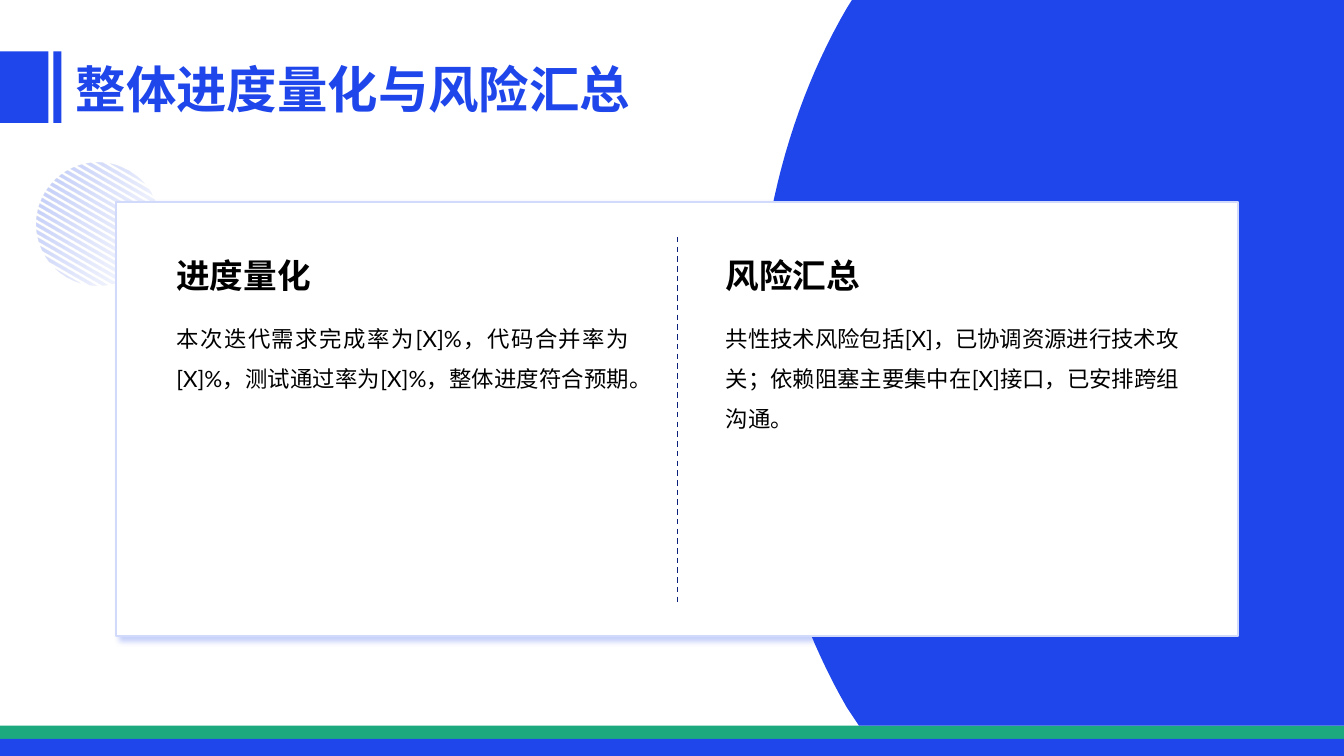
"""Build the progress and risk summary slide."""
from math import sqrt

from lxml.etree import SubElement
from pptx import Presentation
from pptx.dml.color import RGBColor
from pptx.enum.dml import MSO_LINE
from pptx.enum.shapes import MSO_CONNECTOR as Connector, MSO_SHAPE as Shape
from pptx.enum.text import MSO_ANCHOR as Anchor, MSO_AUTO_SIZE as AutoSize, PP_ALIGN as Align
from pptx.oxml.ns import qn
from pptx.util import Inches, Pt

TITLE = "整体进度量化与风险汇总"
SECTIONS = [
    ("进度量化", "本次迭代需求完成率为[X]%，代码合并率为[X]%，测试通过率为[X]%，整体进度符合预期。"),
    ("风险汇总", "共性技术风险包括[X]，已协调资源进行技术攻关；依赖阻塞主要集中在[X]接口，已安排跨组沟通。"),
]
COLORS = {"blue": "1E46EB", "green": "1CA97E", "white": "FFFFFF",
          "border": "D2DAFB", "divider": "0B207A", "black": "000000"}
FONT = "Lato"
WIDTH, HEIGHT = 13.33, 7.5
BARS = [
    (0, 7.2, WIDTH, 0.17, "green"),
    (0, 7.33, WIDTH, 0.17, "blue"),
    (0, 0.51, 0.48, 0.71, "blue"),
    (0.53, 0.51, 0.08, 0.71, "blue"),
]
CARD = (1.15, 2, 11.13, 4.31)
COLUMN_LEFT, COLUMN_STEP, COLUMN_WIDTH = 1.65, 5.45, 4.69
DISC_X, DISC_Y, DISC_RADIUS = 0.97, 2.22, 0.61
STRIPES, STRIPE_STEP, STRIPE_HEIGHT = 21, 0.06, 0.035
FADE = [(0, 34), (76, 3), (100, 3)]
PANEL_CURVES = [
    [(8.4, 7.02), (7.85, 6.07), (7.51, 4.87), (7.51, 3.55)],
    [(7.51, 3.55), (7.51, 2.23), (7.85, 1.02), (8.4, 0.08)],
]
CURVE_STEPS = 24


def rgb(name):
    """Return the named colour."""
    return RGBColor.from_string(COLORS[name])


def inches(*lengths):
    """Convert several lengths."""
    return [Inches(length) for length in lengths]


def add_color(parent, name, alpha):
    """Append a colour with an opacity in percent."""
    color = SubElement(parent, qn("a:srgbClr"), val=COLORS[name])
    SubElement(color, qn("a:alpha"), val=str(alpha * 1000))


def paint(shape, color):
    """Give a shape a plain fill without line or shadow."""
    shape.shadow.inherit = False
    shape.fill.solid()
    shape.fill.fore_color.rgb = rgb(color)
    shape.line.fill.background()


def write(box, text, size, color="black", bold=False, align=Align.JUSTIFY, spacing=1.0):
    """Set the text of a box and its format."""
    frame = box.text_frame
    frame.word_wrap = True
    frame.auto_size = AutoSize.SHAPE_TO_FIT_TEXT
    frame.vertical_anchor = Anchor.TOP
    paragraph = frame.paragraphs[0]
    paragraph.alignment, paragraph.line_spacing = align, spacing
    run = paragraph.add_run()
    run.text = text
    font = run.font
    font.name, font.size, font.bold = FONT, Pt(size), bold
    font.color.rgb = rgb(color)
    properties = run._r.get_or_add_rPr()
    properties.set("lang", "zh-CN")
    SubElement(properties, qn("a:ea"), typeface=FONT)


def draw_outlines(shapes, outlines):
    """Draw closed outlines as one freeform."""
    builder = None
    for outline in outlines:
        points = [inches(*point) for point in outline]
        if builder is None:
            builder = shapes.build_freeform(*points[0], scale=1.0)
        else:
            builder.move_to(*points[0])
        builder.add_line_segments(points[1:], close=True)
    return builder.convert_to_shape()


def stripe_outline(index):
    """Return one horizontal slice of the disc."""
    top = index * STRIPE_STEP - DISC_RADIUS
    bottom = min(top + STRIPE_HEIGHT, DISC_RADIUS)
    levels = [top + (bottom - top) * step / 4 for step in range(5)]
    edge = [(sqrt(max(DISC_RADIUS ** 2 - y ** 2, 0)), y) for y in levels]
    return ([(DISC_X + x, DISC_Y + y) for x, y in edge]
            + [(DISC_X - x, DISC_Y + y) for x, y in reversed(edge)])


def curve_point(curve, t):
    """Return a point of a cubic curve."""
    weights = [(1 - t) ** 3, 3 * t * (1 - t) ** 2, 3 * t ** 2 * (1 - t), t ** 3]
    return tuple(sum(w * point[axis] for w, point in zip(weights, curve)) for axis in (0, 1))


def add_disc(shapes):
    """Draw the fading striped disc."""
    disc = draw_outlines(shapes, [stripe_outline(i) for i in range(STRIPES)])
    paint(disc, "blue")
    disc.rotation = 30
    disc.fill.gradient()
    disc.fill.gradient_angle = 0
    stops = disc._element.spPr.find(".//" + qn("a:gsLst"))
    for stop in list(stops):
        stops.remove(stop)
    for position, alpha in FADE:
        add_color(SubElement(stops, qn("a:gs"), pos=str(position * 1000)), "blue", alpha)


def add_panel(shapes):
    """Draw the blue panel with its curved left edge."""
    edge = [curve_point(curve, step / CURVE_STEPS)
            for curve in PANEL_CURVES for step in range(CURVE_STEPS + 1)]
    corners = [(8.45, 0), (WIDTH, 0), (WIDTH, 7.2), (8.52, 7.2)]
    paint(draw_outlines(shapes, [corners + edge]), "blue")


def add_card(shapes):
    """Draw the white card and its divider."""
    card = shapes.add_shape(Shape.ROUNDED_RECTANGLE, *inches(*CARD))
    card.adjustments[0] = 0
    paint(card, "white")
    card.line.color.rgb = rgb("border")
    card.line.width = Pt(1.5)
    effects = card._element.spPr.find(qn("a:effectLst"))
    shadow = SubElement(effects, qn("a:outerShdw"), blurRad=str(Pt(4)), dist=str(Pt(4)),
                        dir="2700000", algn="tl", rotWithShape="0")
    add_color(shadow, "blue", 26)
    divider = shapes.add_connector(Connector.STRAIGHT, *inches(6.72, 2.35, 6.72, 5.97))
    divider.line.color.rgb = rgb("divider")
    divider.line.width = Pt(1)
    divider.line.dash_style = MSO_LINE.DASH
    SubElement(divider._element.spPr, qn("a:effectLst"))


def main():
    """Build and save the slide."""
    deck = Presentation()
    deck.slide_width, deck.slide_height = inches(WIDTH, HEIGHT)
    slide = deck.slides.add_slide(deck.slide_layouts[5])
    shapes = slide.shapes
    title = shapes.title
    title.left, title.top, title.width, title.height = inches(0.65, 0.53, 12.2, 0.6)
    write(title, TITLE, 36, color="blue", bold=True, align=Align.LEFT)
    add_disc(shapes)
    for *place, color in BARS:
        paint(shapes.add_shape(Shape.RECTANGLE, *inches(*place)), color)
    add_panel(shapes)
    add_card(shapes)
    for column, (heading, body) in enumerate(SECTIONS):
        left = COLUMN_LEFT + column * COLUMN_STEP
        write(shapes.add_textbox(*inches(left, 2.48, COLUMN_WIDTH, 0.4)), heading, 24, bold=True)
        write(shapes.add_textbox(*inches(left, 3.04, COLUMN_WIDTH, 1.2)), body, 16, spacing=1.5)
    deck.save("out.pptx")


if __name__ == "__main__":
    main()
